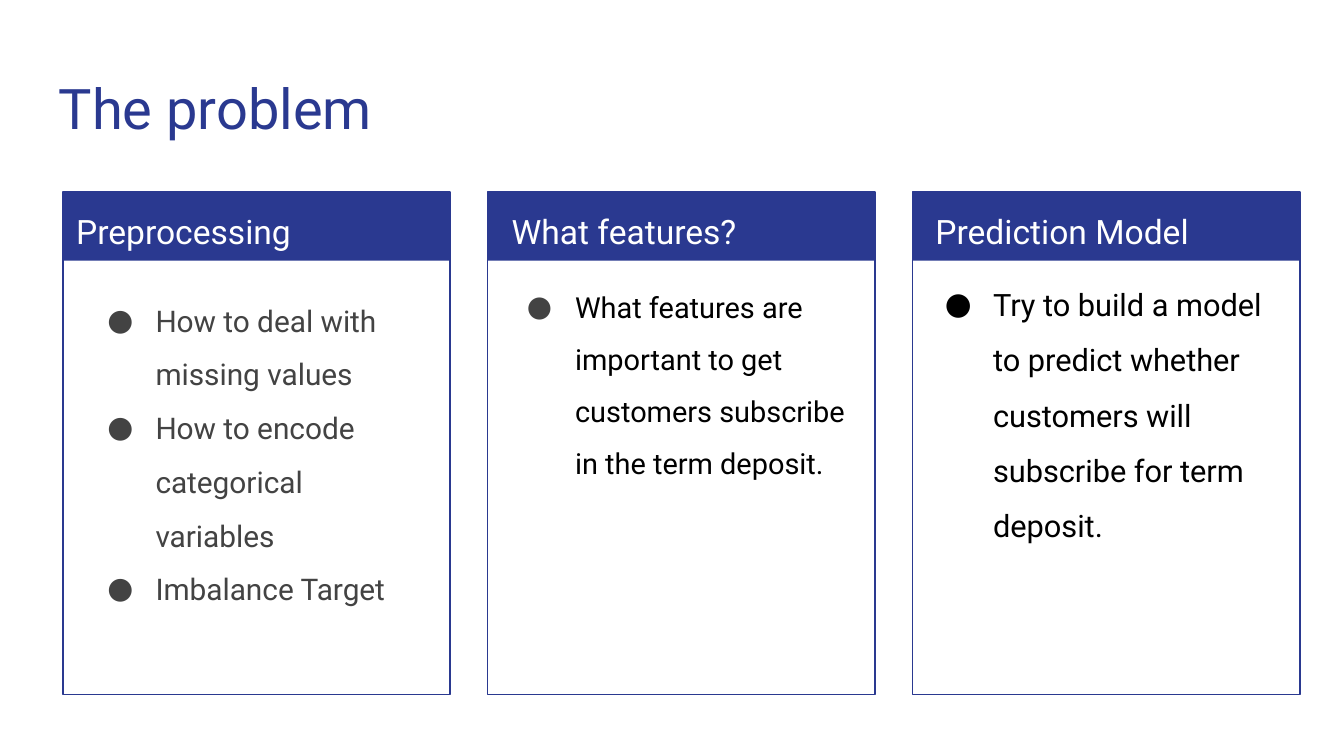
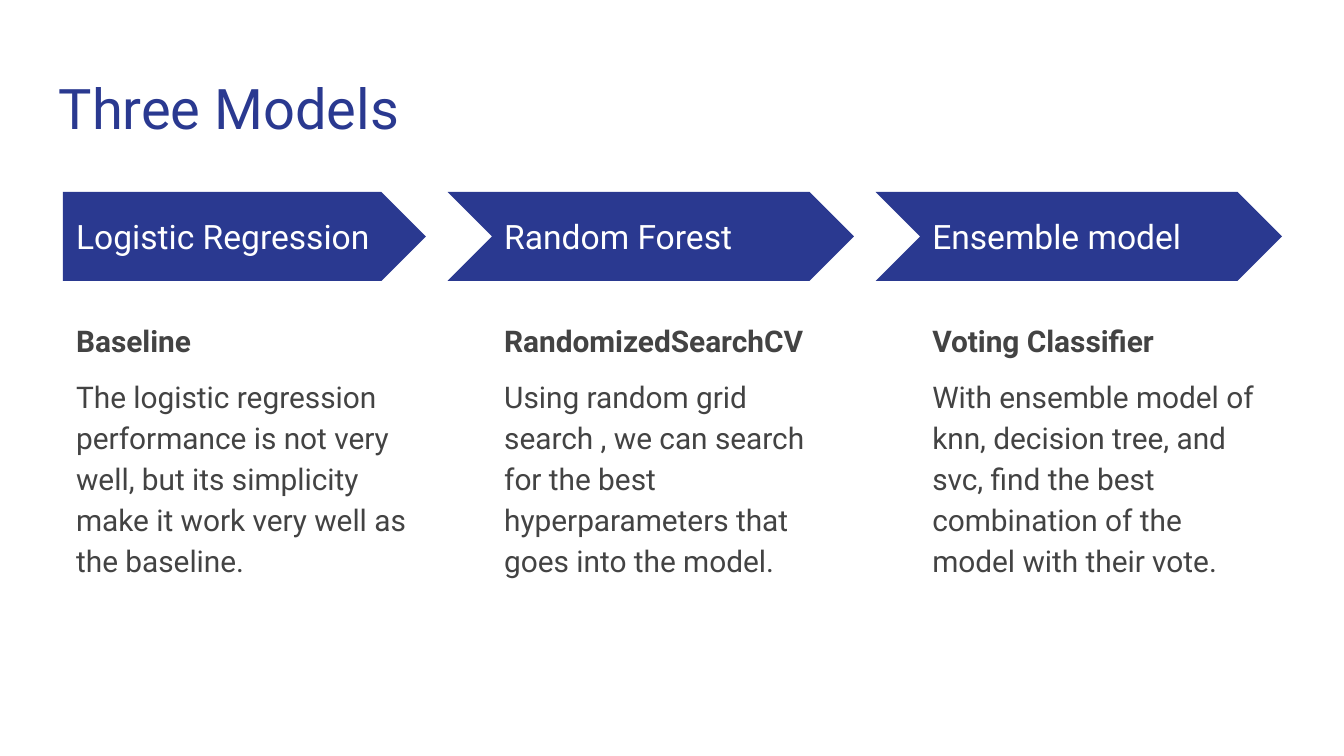
from dataclasses import dataclass

from lxml import etree
from pptx import Presentation
from pptx.dml.color import RGBColor
from pptx.enum.shapes import MSO_SHAPE
from pptx.enum.text import MSO_ANCHOR
from pptx.oxml.ns import qn
from pptx.util import Cm, Pt

RECTANGLE = MSO_SHAPE.RECTANGLE
PENTAGON = MSO_SHAPE.PENTAGON
CHEVRON = MSO_SHAPE.CHEVRON
TOP = MSO_ANCHOR.TOP
MIDDLE = MSO_ANCHOR.MIDDLE


@dataclass(frozen=True)
class Theme:
    """Colours, font and type sizes shared by the slides."""

    font: str = "Roboto"
    accent: str = "2A3990"
    white: str = "FFFFFF"
    grey: str = "434343"
    black: str = "000000"
    title_size: float = 30
    heading_size: float = 18
    body_size: float = 16


THEME = Theme()
BLANK_LAYOUT = 6
MARGIN = 1.19
ROW_TOP = 3.63
CARD_PITCH = 8.03
CARD_WIDTH = 7.32
CARD_HEIGHT = 9.5
BAND_HEIGHT = 1.3
STAGE_PITCH = 8.09
STAGE_WIDTH = 6.86
STAGE_HEIGHT = 1.68
CHEVRON_NOTCH = 0.82

CARDS = [
    {
        "heading": "Preprocessing",
        "heading_shift": 0,
        "bullets": [
            "How to deal with missing values",
            "How to encode categorical variables",
            "Imbalance Target",
        ],
        "list_at": (1.42, 5.13),
        "format": {"color": THEME.grey, "bullet_color": THEME.grey},
    },
    {
        "heading": "What features?",
        "heading_shift": 0.2,
        "bullets": [
            "What features are important to get customers subscribe "
            "in the term deposit."
        ],
        "list_at": (9.35, 4.9),
        "format": {"size": 15.5, "color": THEME.black,
                   "bullet_color": THEME.grey, "before": 11},
    },
    {
        "heading": "Prediction Model",
        "heading_shift": 0.18,
        "bullets": [
            "Try to build a model to predict whether customers will "
            "subscribe for term deposit."
        ],
        "list_at": (17.25, 4.8),
        "format": {"size": 16.5, "color": THEME.black,
                   "bullet_color": THEME.black, "before": 11},
    },
]

STAGES = [
    (
        "Logistic Regression",
        "Baseline",
        "The logistic regression performance is not very well, but its "
        "simplicity make it work very well as the baseline.",
    ),
    (
        "Random Forest",
        "RandomizedSearchCV",
        "Using random grid search , we can search for the best "
        "hyperparameters that goes into the model.",
    ),
    (
        "Ensemble model",
        "Voting Classifier",
        "With ensemble model of knn, decision tree, and svc, find the best "
        "combination of the model with their vote.",
    ),
]


def add_bullet(paragraph, color):
    """Give a paragraph a hanging round bullet in the given colour."""
    properties = paragraph._p.get_or_add_pPr()
    properties.set("marL", str(Cm(1.27)))
    properties.set("indent", str(Cm(-0.91)))
    bullet_color = etree.SubElement(properties, qn("a:buClr"))
    etree.SubElement(bullet_color, qn("a:srgbClr"), val=color)
    etree.SubElement(properties, qn("a:buFont"), typeface=THEME.font)
    etree.SubElement(properties, qn("a:buChar"), char="●")


def write(frame, text, *, size=THEME.body_size, color=THEME.grey, bold=False,
          spacing=1.0, before=0, after=0, bullet_color=None):
    """Write one formatted paragraph at the end of a text frame."""
    paragraph = frame.paragraphs[-1]
    if paragraph.runs:
        paragraph = frame.add_paragraph()
    paragraph.line_spacing = spacing
    paragraph.space_before = Pt(before)
    paragraph.space_after = Pt(after)
    if bullet_color:
        add_bullet(paragraph, bullet_color)
    run = paragraph.add_run()
    run.text = text
    run.font.name = THEME.font
    run.font.size = Pt(size)
    run.font.bold = bold
    run.font.color.rgb = RGBColor.from_string(color)


def add_frame(slide, left, top, width, height, anchor=TOP):
    """Add a wrapping text box and return its text frame."""
    box = slide.shapes.add_textbox(Cm(left), Cm(top), Cm(width), Cm(height))
    frame = box.text_frame
    frame.word_wrap = True
    frame.vertical_anchor = anchor
    frame.margin_left = frame.margin_right = Cm(0.25)
    frame.margin_top = frame.margin_bottom = Cm(0.25)
    return frame


def add_block(shapes, kind, left, top, width, height, filled=True):
    """Add an accent shape, either filled or only outlined."""
    block = shapes.add_shape(kind, Cm(left), Cm(top), Cm(width), Cm(height))
    block.shadow.inherit = False
    color = RGBColor.from_string(THEME.accent)
    if filled:
        block.fill.solid()
        block.fill.fore_color.rgb = color
        block.line.fill.background()
    else:
        block.fill.background()
        block.line.color.rgb = color
        block.line.width = Pt(0.75)


def add_titled_slide(deck, title):
    """Add a blank white slide with the shared title style."""
    slide = deck.slides.add_slide(deck.slide_layouts[BLANK_LAYOUT])
    slide.background.fill.solid()
    slide.background.fill.fore_color.rgb = RGBColor.from_string(THEME.white)
    write(add_frame(slide, 0.86, 1.14, 23.67, 1.68), title,
          size=THEME.title_size, color=THEME.accent)
    return slide


def add_card(slide, index, card):
    """Add an outlined card with a heading band and a bullet list."""
    left = MARGIN + index * CARD_PITCH
    panel = slide.shapes.add_group_shape().shapes
    add_block(panel, RECTANGLE, left, ROW_TOP, CARD_WIDTH, BAND_HEIGHT)
    add_block(panel, RECTANGLE, left, ROW_TOP, CARD_WIDTH, CARD_HEIGHT,
              filled=False)
    heading = add_frame(slide, left + card["heading_shift"], ROW_TOP,
                        6.93, 1.27)
    write(heading, card["heading"], size=THEME.heading_size,
          color=THEME.white, spacing=1.15)
    bullet_list = add_frame(slide, *card["list_at"], 6.88, 7.77)
    for bullet in card["bullets"]:
        write(bullet_list, bullet, spacing=1.5, **card["format"])


def add_stage(slide, index, name, method, description):
    """Add one arrow of the model sequence with the text below it."""
    left = MARGIN + index * STAGE_PITCH
    kind, notch = (CHEVRON, CHEVRON_NOTCH) if index else (PENTAGON, 0)
    add_block(slide.shapes, kind, left - notch, ROW_TOP,
              STAGE_WIDTH + notch, STAGE_HEIGHT)
    write(add_frame(slide, left, 4.04, 6.27, 0.86, MIDDLE), name,
          size=THEME.heading_size, color=THEME.white)
    details = add_frame(slide, left, 5.74, STAGE_WIDTH, 7.37)
    write(details, method, bold=True, spacing=1.15)
    write(details, description, spacing=1.15, before=8, after=8)


def main():
    """Build both slides and save the deck."""
    deck = Presentation()
    deck.slide_width = Cm(25.4)
    deck.slide_height = Cm(14.29)
    problem = add_titled_slide(deck, "The problem")
    for index, card in enumerate(CARDS):
        add_card(problem, index, card)
    models = add_titled_slide(deck, "Three Models")
    for index, stage in enumerate(STAGES):
        add_stage(models, index, *stage)
    deck.save("out.pptx")


if __name__ == "__main__":
    main()
